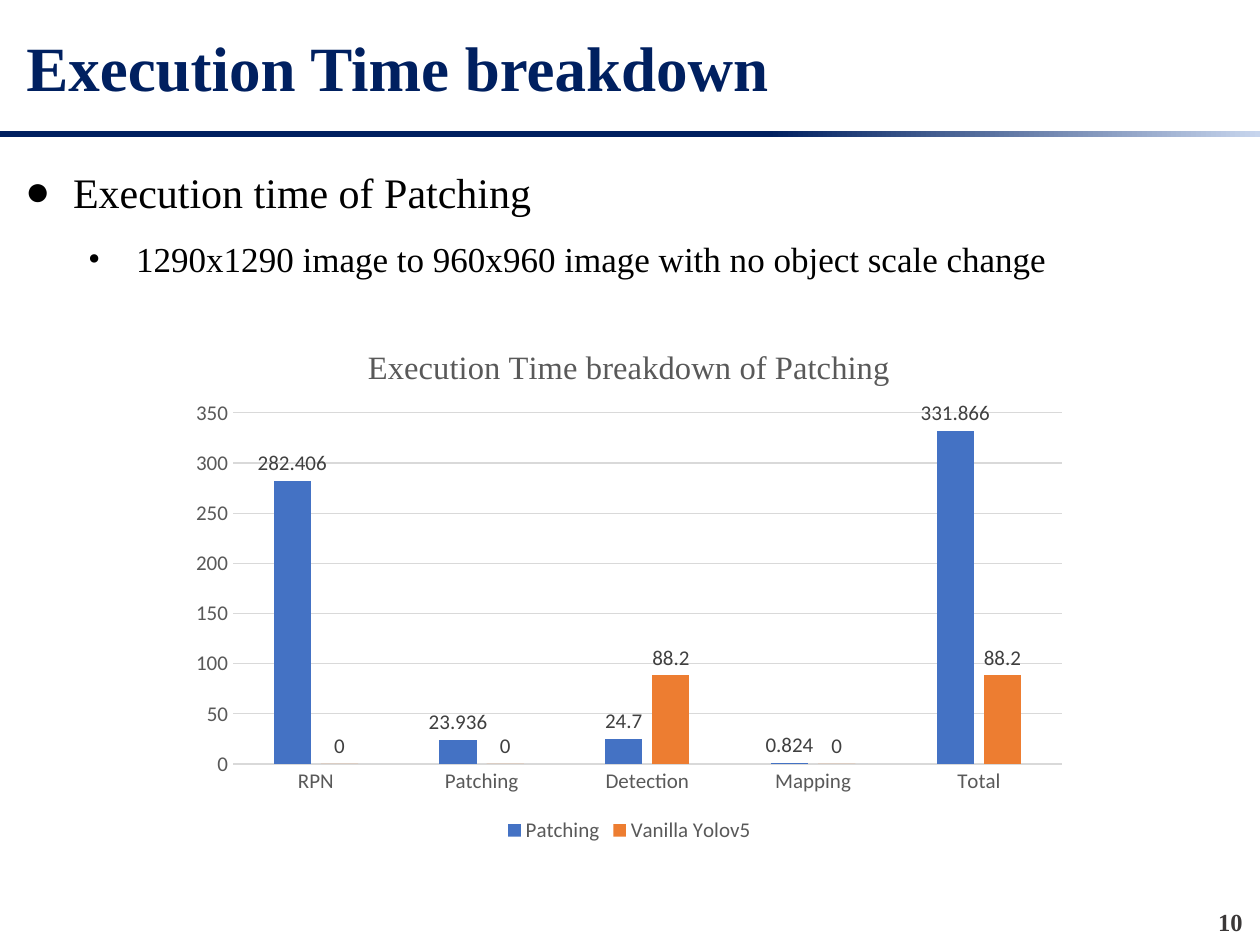
from lxml import etree
from pptx import Presentation
from pptx.chart.data import CategoryChartData
from pptx.dml.color import RGBColor
from pptx.enum.chart import XL_CHART_TYPE, XL_LABEL_POSITION, XL_LEGEND_POSITION, XL_TICK_MARK
from pptx.enum.shapes import MSO_SHAPE
from pptx.enum.text import MSO_ANCHOR, MSO_AUTO_SIZE, PP_ALIGN
from pptx.oxml import parse_xml
from pptx.oxml.ns import nsdecls, qn
from pptx.util import Inches, Pt

COLUMN_CLUSTERED = XL_CHART_TYPE.COLUMN_CLUSTERED
OUTSIDE_END = XL_LABEL_POSITION.OUTSIDE_END
LEGEND_BOTTOM = XL_LEGEND_POSITION.BOTTOM
NO_TICK = XL_TICK_MARK.NONE
RECTANGLE = MSO_SHAPE.RECTANGLE
MIDDLE, TOP = MSO_ANCHOR.MIDDLE, MSO_ANCHOR.TOP
LEFT, RIGHT = PP_ALIGN.LEFT, PP_ALIGN.RIGHT

NAVY = RGBColor(0x00, 0x20, 0x60)
PALE_BLUE = RGBColor(0xC7, 0xD5, 0xED)
BLACK = RGBColor(0x00, 0x00, 0x00)
CHARCOAL = RGBColor(0x3B, 0x38, 0x38)
LABEL_GRAY = RGBColor(0x40, 0x40, 0x40)
AXIS_GRAY = RGBColor(0x59, 0x59, 0x59)
GRID_GRAY = RGBColor(0xD9, 0xD9, 0xD9)
BLUE = RGBColor(0x44, 0x72, 0xC4)
ORANGE = RGBColor(0xED, 0x7D, 0x31)
SERIF, SANS = "Times New Roman", "Calibri"


def style_font(font, name, size, color, bold=False):
    font.name, font.size, font.bold = name, Pt(size), bold
    font.color.rgb = color


def place(shape, left, top, width, height):
    shape.left, shape.top = Inches(left), Inches(top)
    shape.width, shape.height = Inches(width), Inches(height)


presentation = Presentation()
presentation.slide_width, presentation.slide_height = Inches(10), Inches(7.5)
slide = presentation.slides.add_slide(presentation.slide_layouts[1])
title, body = slide.placeholders

rule = slide.shapes.add_shape(RECTANGLE, 0, Inches(1.04), presentation.slide_width, Inches(0.05))
rule.shadow.inherit = False
rule.line.fill.background()
rule.fill.gradient()
rule.fill.gradient_angle = 0
for stop, position, color in zip(rule.fill.gradient_stops, (0.61, 1), (NAVY, PALE_BLUE)):
    stop.position = position
    stop.color.rgb = color

place(title, 0.11, 0.13, 9.49, 0.8)
title.text_frame.text = "Execution Time breakdown"
title.text_frame.vertical_anchor = MIDDLE
title.text_frame.auto_size = MSO_AUTO_SIZE.NONE
title.text_frame.paragraphs[0].alignment = LEFT
style_font(title.text_frame.paragraphs[0].runs[0].font, SERIF, 36, NAVY, True)

page_number = slide.shapes.add_textbox(0, 0, 0, 0)
place(page_number, 9.54, 7.15, 0.42, 0.3)
page_number.text_frame.word_wrap = True
page_number.text_frame.text = "10"
page_number.text_frame.paragraphs[0].alignment = RIGHT
style_font(page_number.text_frame.paragraphs[0].runs[0].font, SERIF, 14, CHARCOAL, True)

place(body, 0.1, 1.07, 9.73, 1.15)
body.text_frame.vertical_anchor = TOP
body.text_frame.auto_size = MSO_AUTO_SIZE.SHAPE_TO_FIT_TEXT
points = [
    ("Execution time of Patching", "●", 24, 0.38),
    ("1290x1290 image to 960x960 image with no object scale change", "•", 20, 0.88),
]
body.text_frame.text = "\n".join(point[0] for point in points)
for level, (paragraph, (_, bullet, size, indent)) in enumerate(zip(body.text_frame.paragraphs, points)):
    paragraph.level = level
    paragraph.line_spacing = 1.5
    paragraph.space_before = Pt(0)
    style_font(paragraph.runs[0].font, SERIF, size, BLACK)
    properties = paragraph._p.get_or_add_pPr()
    properties.set("marL", str(Inches(indent)))
    properties.set("indent", str(Inches(-0.38)))
    etree.SubElement(properties, qn("a:buFont")).set("typeface", SERIF)
    etree.SubElement(properties, qn("a:buChar")).set("char", bullet)

chart_data = CategoryChartData()
chart_data.categories = ["RPN", "Patching", "Detection", "Mapping", "Total"]
chart_data.add_series("Patching", (282.406, 23.936, 24.7, 0.824, 331.866))
chart_data.add_series("Vanilla Yolov5", (0, 0, 88.2, 0, 88.2))
chart = slide.shapes.add_chart(
    COLUMN_CLUSTERED, Inches(1.42), Inches(2.57), Inches(7.15), Inches(4.16), chart_data
).chart
style_font(chart.font, SANS, 10, BLACK)
chart.has_title = True
chart.chart_title.include_in_layout = False
chart.chart_title.text_frame.text = "Execution Time breakdown of Patching"
style_font(chart.chart_title.text_frame.paragraphs[0].runs[0].font, SERIF, 18.6, AXIS_GRAY)
chart.has_legend = True
chart.legend.position = LEGEND_BOTTOM
chart.legend.include_in_layout = False
style_font(chart.legend.font, SANS, 12, AXIS_GRAY)

for axis in (chart.category_axis, chart.value_axis):
    axis.major_tick_mark = axis.minor_tick_mark = NO_TICK
    style_font(axis.tick_labels.font, SANS, 12, AXIS_GRAY)
value_axis = chart.value_axis
value_axis.minimum_scale, value_axis.maximum_scale, value_axis.major_unit = 0, 350, 50
value_axis.has_major_gridlines = True
value_axis.format.line.fill.background()
for line in (chart.category_axis.format.line, value_axis.major_gridlines.format.line):
    line.color.rgb = GRID_GRAY
    line.width = Pt(0.75)

plot = chart.plots[0]
plot.gap_width, plot.overlap = 219, -27
plot.vary_by_categories = False
for series, color in zip(plot.series, (BLUE, ORANGE)):
    series.format.fill.solid()
    series.format.fill.fore_color.rgb = color
    labels = series.data_labels
    labels.show_value = True
    labels.position = OUTSIDE_END
    style_font(labels.font, SANS, 12, LABEL_GRAY)

plot_area = chart._chartSpace.chart.plotArea
for layout in plot_area.findall(qn("c:layout")):
    plot_area.remove(layout)
plot_area.insert(0, parse_xml(
    f'<c:layout {nsdecls("c")}><c:manualLayout><c:layoutTarget val="inner"/>'
    '<c:xMode val="edge"/><c:yMode val="edge"/><c:x val="0.06"/><c:y val="0.17"/>'
    '<c:w val="0.92"/><c:h val="0.67"/></c:manualLayout></c:layout>'
))

presentation.save("out.pptx")
